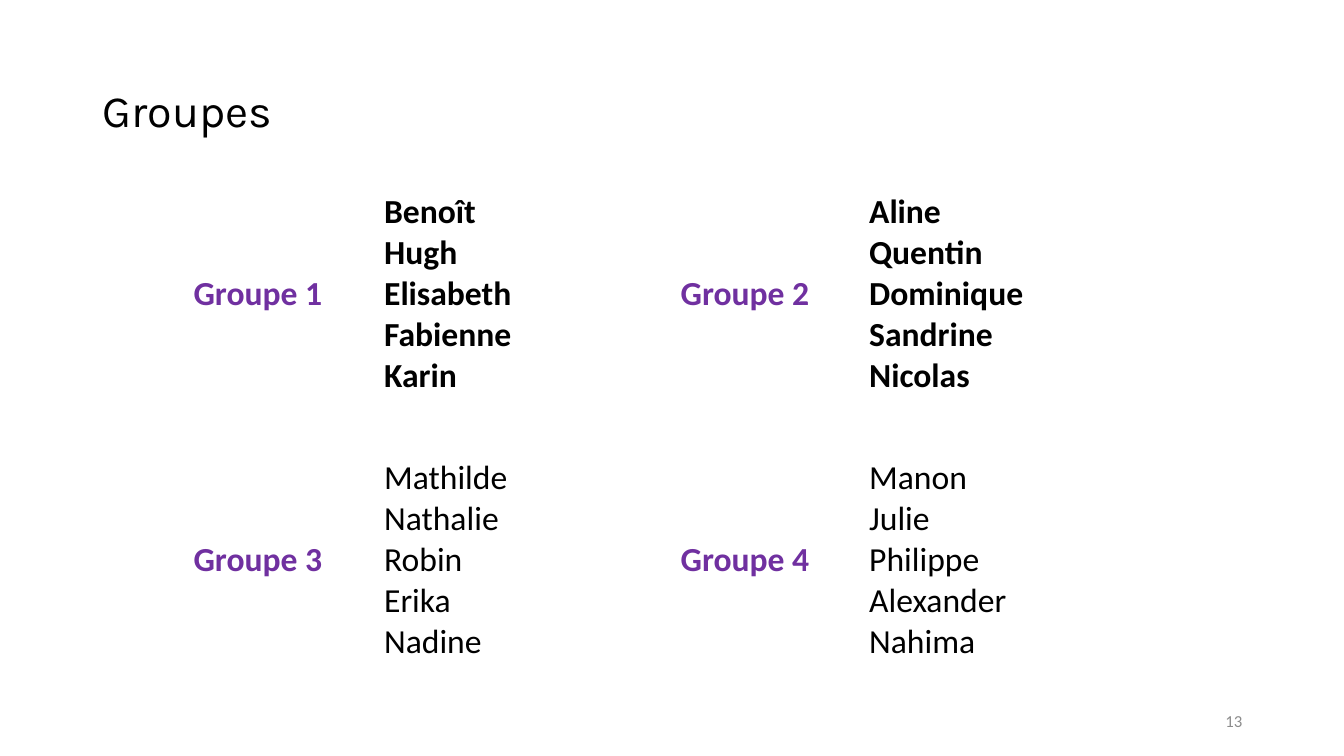
from dataclasses import dataclass

import pptx
import pptx.dml.color
import pptx.enum.text
import pptx.oxml
import pptx.oxml.ns
import pptx.util

COLOURS = {"white": "FFFFFF", "black": "000000", "purple": "7030A0", "grey": "8C8C8C"}
SLIDE_WIDTH = pptx.util.Inches(13.33)
SLIDE_HEIGHT = pptx.util.Inches(7.5)
COLUMN_SHARES = (14.18, 22.06, 14.03, 22.5)
ROW_SHARES = (28.4, 6.8, 28.4)
BORDER_POINTS = {"lnL": 1, "lnR": 1, "lnT": 1, "lnB": 1}
HEADER_BORDER_POINTS = BORDER_POINTS | {"lnB": 3}


@dataclass(frozen=True)
class Area:
    left: float
    top: float
    width: float
    height: float

    def measures(self) -> tuple[int, int, int, int]:
        return across(self.left), down(self.top), across(self.width), down(self.height)


@dataclass(frozen=True)
class Style:
    size: float
    colour: str
    font: str = "Calibri"
    bold: bool = False


@dataclass(frozen=True)
class Group:
    label: str
    members: tuple[str, ...]
    bold: bool = False


TITLE_AREA = Area(6.9, 5.33, 86.27, 19.33)
TABLE_AREA = Area(13.65, 24.67, sum(COLUMN_SHARES), sum(ROW_SHARES))
NUMBER_AREA = Area(70.67, 92.67, 22.5, 5.33)
LABEL_STYLE = Style(24, "purple", bold=True)

GROUPS = (
    Group("Groupe 1", ("Benoît", "Hugh", "Elisabeth", "Fabienne", "Karin"), True),
    Group("Groupe 2", ("Aline", "Quentin", "Dominique", "Sandrine", "Nicolas"), True),
    Group("Groupe 3", ("Mathilde", "Nathalie", "Robin", "Erika", "Nadine")),
    Group("Groupe 4", ("Manon", "Julie", "Philippe", "Alexander", "Nahima")),
)


def across(share: float) -> int:
    return round(SLIDE_WIDTH * share / 100)


def down(share: float) -> int:
    return round(SLIDE_HEIGHT * share / 100)


def place(shape, area: Area) -> None:
    shape.left, shape.top, shape.width, shape.height = area.measures()


def write(frame, lines: tuple[str, ...], style: Style, align=pptx.enum.text.PP_ALIGN.LEFT) -> None:
    for index, line in enumerate(lines):
        para = frame.paragraphs[0] if index == 0 else frame.add_paragraph()
        para.alignment = align
        span = para.add_run()
        span.text = line
        span.font.name = style.font
        span.font.size = pptx.util.Pt(style.size)
        span.font.bold = style.bold
        span.font.color.rgb = pptx.dml.color.RGBColor.from_string(COLOURS[style.colour])


def format_cell(cell, borders: dict[str, int]) -> None:
    properties = cell._tc.get_or_add_tcPr()
    for side, points in borders.items():
        properties.append(pptx.oxml.parse_xml(
            f'<a:{side} {pptx.oxml.ns.nsdecls("a")} w="{pptx.util.Pt(points)}">'
            f'<a:solidFill><a:srgbClr val="{COLOURS["white"]}"/></a:solidFill></a:{side}>'
        ))
    cell.fill.background()
    cell.vertical_anchor = pptx.enum.text.MSO_ANCHOR.MIDDLE


def add_title(page) -> None:
    title = page.shapes.title
    place(title, TITLE_AREA)
    frame = title.text_frame
    frame.word_wrap = True
    frame.vertical_anchor = pptx.enum.text.MSO_ANCHOR.MIDDLE
    write(frame, ("Groupes",), Style(32, "black", "Karla"))
    frame.paragraphs[0].line_spacing = 0.9


def add_groups(page) -> None:
    table = page.shapes.add_table(
        len(ROW_SHARES), len(COLUMN_SHARES), *TABLE_AREA.measures()
    ).table
    table.first_row = False
    table.horz_banding = False
    for column, share in zip(table.columns, COLUMN_SHARES):
        column.width = across(share)
    for index, (row, share) in enumerate(zip(table.rows, ROW_SHARES)):
        row.height = down(share)
        for cell in row.cells:
            format_cell(cell, HEADER_BORDER_POINTS if index == 0 else BORDER_POINTS)
    for index, group in enumerate(GROUPS):
        row, column = 2 * (index // 2), 2 * (index % 2)
        write(table.cell(row, column).text_frame, (group.label,), LABEL_STYLE)
        names = table.cell(row, column + 1)
        write(names.text_frame, group.members, Style(24, "black", bold=group.bold))


def add_page_number(page) -> None:
    box = page.shapes.add_textbox(*NUMBER_AREA.measures())
    box.text_frame.word_wrap = True
    box.text_frame.vertical_anchor = pptx.enum.text.MSO_ANCHOR.MIDDLE
    write(box.text_frame, ("13",), Style(12, "grey"), pptx.enum.text.PP_ALIGN.RIGHT)


def main() -> None:
    deck = pptx.Presentation()
    deck.slide_width, deck.slide_height = SLIDE_WIDTH, SLIDE_HEIGHT
    page = deck.slides.add_slide(deck.slide_layouts.get_by_name("Title Only"))
    add_title(page)
    add_groups(page)
    add_page_number(page)
    deck.save("out.pptx")


if __name__ == "__main__":
    main()
